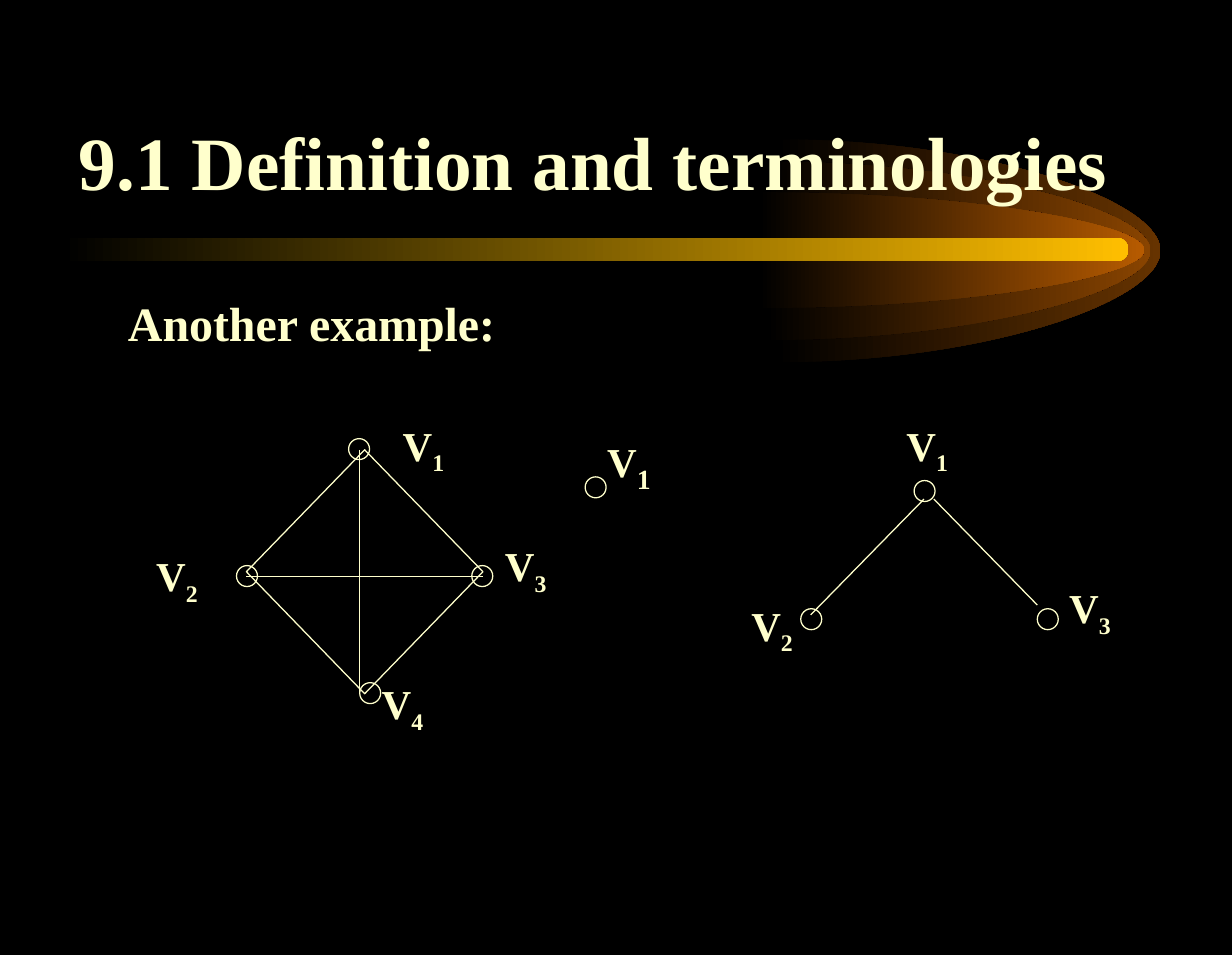
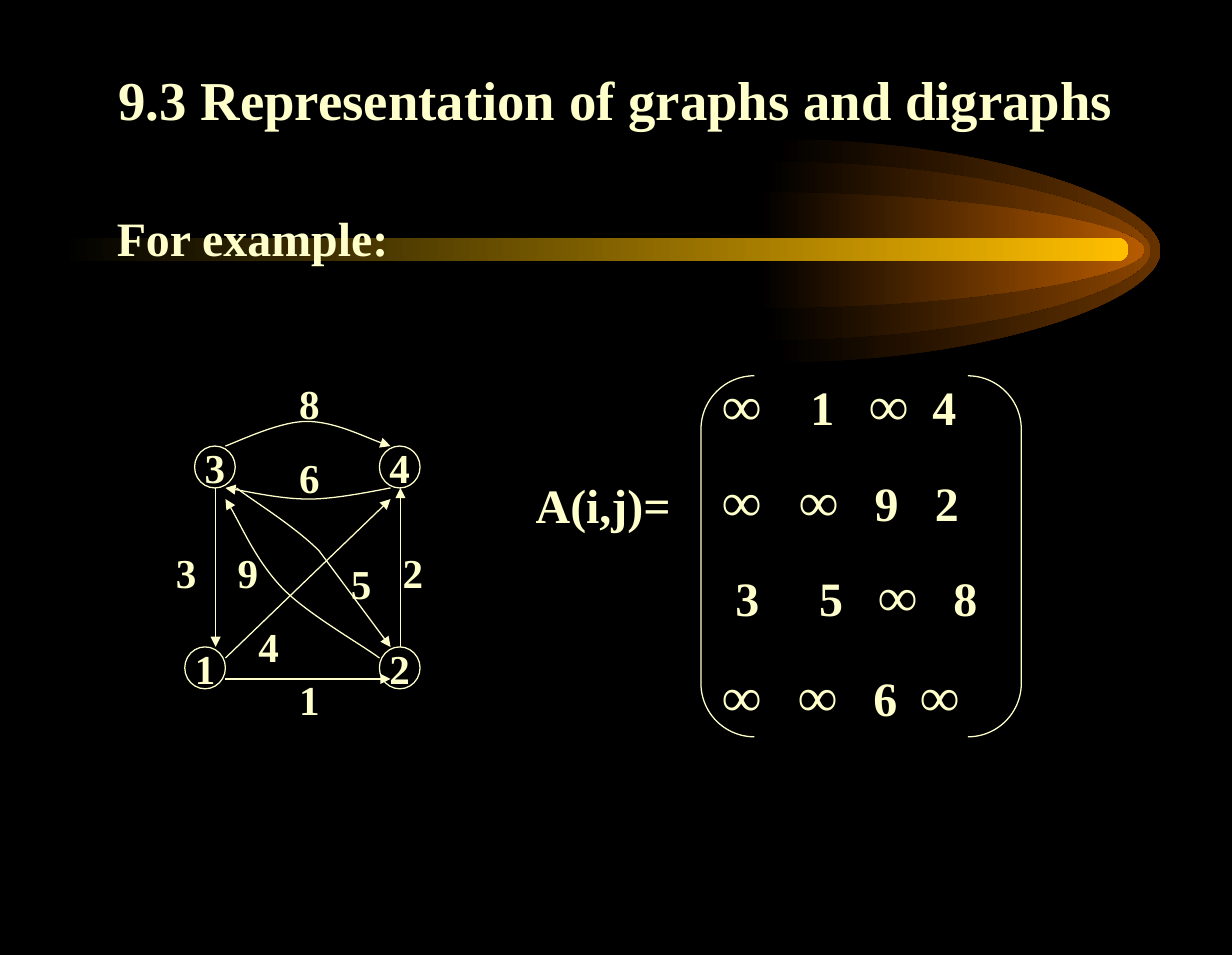
from lxml import etree
from pptx import Presentation
from pptx import util as u
from pptx.dml import color
from pptx.enum import shapes, text
from pptx.oxml import ns

CREAM, BLACK, GOLD = "FFFFCC", "000000", "FFBF00"
FACE = "Times New Roman"
GLOWS = [(6.29, 1.13, 1.81, "663300"), (6.21, 1.31, 1.45, "894400"), (6.16, 1.56, 0.94, "B75B00")]
KIND = shapes.MSO_SHAPE


def rgb(code):
    """Turn a hex string into a colour."""
    return color.RGBColor.from_string(code)


def inch(*sizes):
    """Turn numbers into lengths."""
    return [u.Inches(size) for size in sizes]


def style(par, size):
    """Set the shared bold cream font on a paragraph."""
    par.font.name, par.font.size, par.font.bold = FACE, u.Pt(size), True
    par.font.color.rgb = rgb(CREAM)


def write(slide, words, box, size, align=text.PP_ALIGN.LEFT, anchor=text.MSO_ANCHOR.TOP):
    """Add a text box and return its paragraph."""
    frame = slide.shapes.add_textbox(*inch(*box)).text_frame
    frame.word_wrap, frame.vertical_anchor = True, anchor
    par = frame.paragraphs[0]
    par.alignment = align
    if words:
        par.add_run().text = words
    style(par, size)
    return par


def fade(shape, code):
    """Fill a shape from black to a colour, left to right."""
    shape.fill.gradient()
    shape.fill.gradient_angle = 0
    for stop, tone in zip(shape.fill.gradient_stops, (BLACK, code)):
        stop.color.rgb = rgb(tone)
    shape.line.fill.background()


def stroke(item, arrow=False):
    """Give a shape or line the thin cream stroke."""
    item.line.color.rgb, item.line.width = rgb(CREAM), u.Pt(0.75)
    if arrow:
        line = item.line._get_or_add_ln()
        etree.SubElement(line, ns.qn("a:tailEnd"), type="triangle")


def form(slide, kind, box):
    """Add an unfilled preset shape with a cream outline."""
    shape = slide.shapes.add_shape(kind, *inch(*box))
    shape.shadow.inherit = False
    shape.fill.background()
    stroke(shape)
    return shape


def curve(slide, points, bends=1, close=False):
    """Add a freeform whose first segments are cubic bends."""
    spots = [inch(*point) for point in points]
    build = slide.shapes.build_freeform(*spots[0])
    build.add_line_segments(spots[1:], close=close)
    shape = build.convert_to_shape()
    shape.shadow.inherit = False
    steps = list(shape._element.iter(ns.qn("a:lnTo")))
    for first in range(0, bends * 3, 3):
        bend = etree.Element(ns.qn("a:cubicBezTo"))
        steps[first].addprevious(bend)
        for step in steps[first:first + 3]:
            bend.append(step[0])
            step.getparent().remove(step)
    return shape


def edge(slide, start, end, arrow=False):
    """Add a straight edge."""
    line = slide.shapes.add_connector(shapes.MSO_CONNECTOR.STRAIGHT, *inch(*start, *end))
    stroke(line, arrow)
    etree.SubElement(line._element.spPr, ns.qn("a:effectLst"))


def arc(slide, points):
    """Add a curved arrow."""
    shape = curve(slide, points)
    shape.fill.background()
    stroke(shape, True)


def glow(slide, left, top, high, code):
    """Add a right half ellipse that fades to the left."""
    wide, mid, base = 3.13, top + high / 2, top + high
    right, lean, rise = left + wide, left + wide * 0.55, high * 0.225
    points = [(left, top), (lean, top), (right, mid - rise), (right, mid),
              (right, mid + rise), (lean, base), (left, base)]
    fade(curve(slide, points, 2, True), code)


def start(deck, title, box, size, lead, spot):
    """Add a slide with the comet band, title and lead line."""
    slide = deck.slides.add_slide(deck.slide_layouts[6])
    slide.background.fill.solid()
    slide.background.fill.fore_color.rgb = rgb(BLACK)
    for ring in GLOWS:
        glow(slide, *ring)
    bar = form(slide, KIND.ROUNDED_RECTANGLE, (0.5, 1.93, 8.66, 0.19))
    bar.adjustments[0] = 0.5
    fade(bar, GOLD)
    write(slide, title, box, size, text.PP_ALIGN.CENTER, text.MSO_ANCHOR.BOTTOM)
    write(slide, lead, spot, 28)
    return slide


def dot(slide, left, top):
    """Add a small open vertex."""
    form(slide, KIND.OVAL, (left, top, 0.17, 0.17))


def label(slide, digit, left, top, size=24):
    """Add a vertex name with its subscript."""
    par = write(slide, "V", (left, top, 0.83, 0.56), 24)
    sub = par.add_run()
    sub.text = digit
    sub._r.get_or_add_rPr().set("baseline", "-25000")
    if size != 24:
        sub.font.size = u.Pt(size)


def node(slide, digit, left, top):
    """Add a numbered vertex."""
    frame = form(slide, KIND.OVAL, (left, top, 0.33, 0.34)).text_frame
    frame.word_wrap, frame.vertical_anchor = False, text.MSO_ANCHOR.MIDDLE
    par = frame.paragraphs[0]
    par.alignment = text.PP_ALIGN.CENTER
    par.add_run().text = digit
    style(par, 24)


def row(par, cells, stops, gap):
    """Fill one matrix row, with cells set at tab stops."""
    tabs = etree.SubElement(par._p.get_or_add_pPr(), ns.qn("a:tabLst"))
    for stop in stops:
        etree.SubElement(tabs, ns.qn("a:tab"), pos=str(u.Inches(stop)), algn="l")
    style(par, 28)
    if gap:
        par.space_before = u.Pt(gap)
    lead = len(stops) == len(cells)
    for spot, cell in enumerate(cells):
        if spot or lead:
            par.add_run().text = "\t"
        run = par.add_run()
        run.text = cell
        if cell == "∞":
            run.font.size = u.Pt(32)


def matrix(slide):
    """Add the bracketed cost matrix."""
    write(slide, "A(i,j)=", (4.25, 3.81, 1.79, 0.57), 28)
    pair = form(slide, KIND.DOUBLE_BRACKET, (5.69, 3.05, 2.6, 2.93))
    pair.adjustments[0] = 0.167
    par = write(slide, "", (5.77, 2.96, 2.69, 3), 28)
    frame = par._parent
    rows = [("∞1∞4", (0.71, 1.19, 1.7), 0), ("∞∞92", (0.62, 1.23, 1.72), 17.5),
            ("35∞8", (0.1, 0.78, 1.26, 1.87), 17.5), ("∞∞6∞", (0.61, 1.22, 1.6), 20)]
    for spot, (cells, stops, gap) in enumerate(rows):
        if spot:
            par = frame.add_paragraph()
        else:
            par._p.remove(par._p.pPr)
        row(par, cells, stops, gap)


def parts(deck):
    """Build the slide of a graph and its subgraphs."""
    slide = start(deck, "9.1 Definition and terminologies", (0.39, 0.43, 8.86, 1.29), 44,
                  "Another example:", (0.94, 2.33, 8.31, 4.65))
    form(slide, KIND.DIAMOND, (2, 3.65, 1.92, 1.98))
    for spot in [(2.83, 3.56), (1.92, 4.59), (3.83, 4.59), (2.92, 5.54),
                 (7.42, 3.9), (6.5, 4.94), (8.42, 4.94), (4.75, 3.87)]:
        dot(slide, *spot)
    for ends in [((2.92, 3.65), (2.92, 5.63)), ((2, 4.68), (3.92, 4.68)),
                 ((7.5, 4.05), (6.58, 4.99)), ((7.58, 4.05), (8.42, 4.91))]:
        edge(slide, *ends)
    for name in [("2", 1.17, 4.42), ("4", 3, 5.46), ("3", 4, 4.34), ("1", 3.17, 3.36),
                 ("2", 6, 4.82), ("3", 8.58, 4.68), ("1", 7.26, 3.36), ("1", 4.83, 3.44, 28)]:
        label(slide, *name)


def costs(deck):
    """Build the slide of a weighted digraph and its matrix."""
    slide = start(deck, "9.3 Representation of graphs and digraphs", (0.75, 0.43, 8.5, 0.69), 32,
                  "For example:", (0.85, 1.64, 8.4, 4.65))
    for vertex in [("3", 1.58, 3.62), ("4", 3.08, 3.62), ("1", 1.5, 5.25), ("2", 3.08, 5.25)]:
        node(slide, *vertex)
    for points in [
        [(1.83, 3.62), (1.94, 3.58), (2.27, 3.42), (2.49, 3.42), (2.71, 3.42), (3.03, 3.58), (3.17, 3.62)],
        [(3.17, 3.96), (3.06, 3.98), (2.73, 4.05), (2.51, 4.05), (2.29, 4.05), (1.97, 3.98), (1.83, 3.96)],
        [(3.08, 5.34), (2.95, 5.24), (2.49, 4.98), (2.29, 4.77), (2.08, 4.55), (1.93, 4.2), (1.83, 4.05)],
    ]:
        shape = curve(slide, points, 2)
        shape.fill.background()
        stroke(shape, True)
    arc(slide, [(1.92, 3.96), (2.03, 4.05), (2.38, 4.26), (2.59, 4.47), (3.17, 5.25)])
    for ends in [((1.75, 3.96), (1.75, 5.25)), ((3.25, 5.25), (3.25, 3.96)),
                 ((1.83, 5.51), (3.17, 5.51)), ((1.83, 5.34), (3.17, 4.05))]:
        edge(slide, *ends, arrow=True)
    for cost, left, top, wide in [
        ("8", 2.33, 3.02, 1), ("6", 2.33, 3.62, 0.42), ("2", 3.17, 4.39, 0.5), ("3", 1.33, 4.39, 0.75),
        ("1", 2.33, 5.42, 0.67), ("4", 2, 4.99, 0.33), ("9", 1.83, 4.39, 0.58), ("5", 2.75, 4.48, 0.42),
    ]:
        write(slide, cost, (left, top, wide, 0.5), 24)
    matrix(slide)


def main():
    """Build and save the deck."""
    deck = Presentation()
    deck.slide_width, deck.slide_height = inch(10, 7.75)
    parts(deck)
    costs(deck)
    deck.save("out.pptx")


if __name__ == "__main__":
    main()
